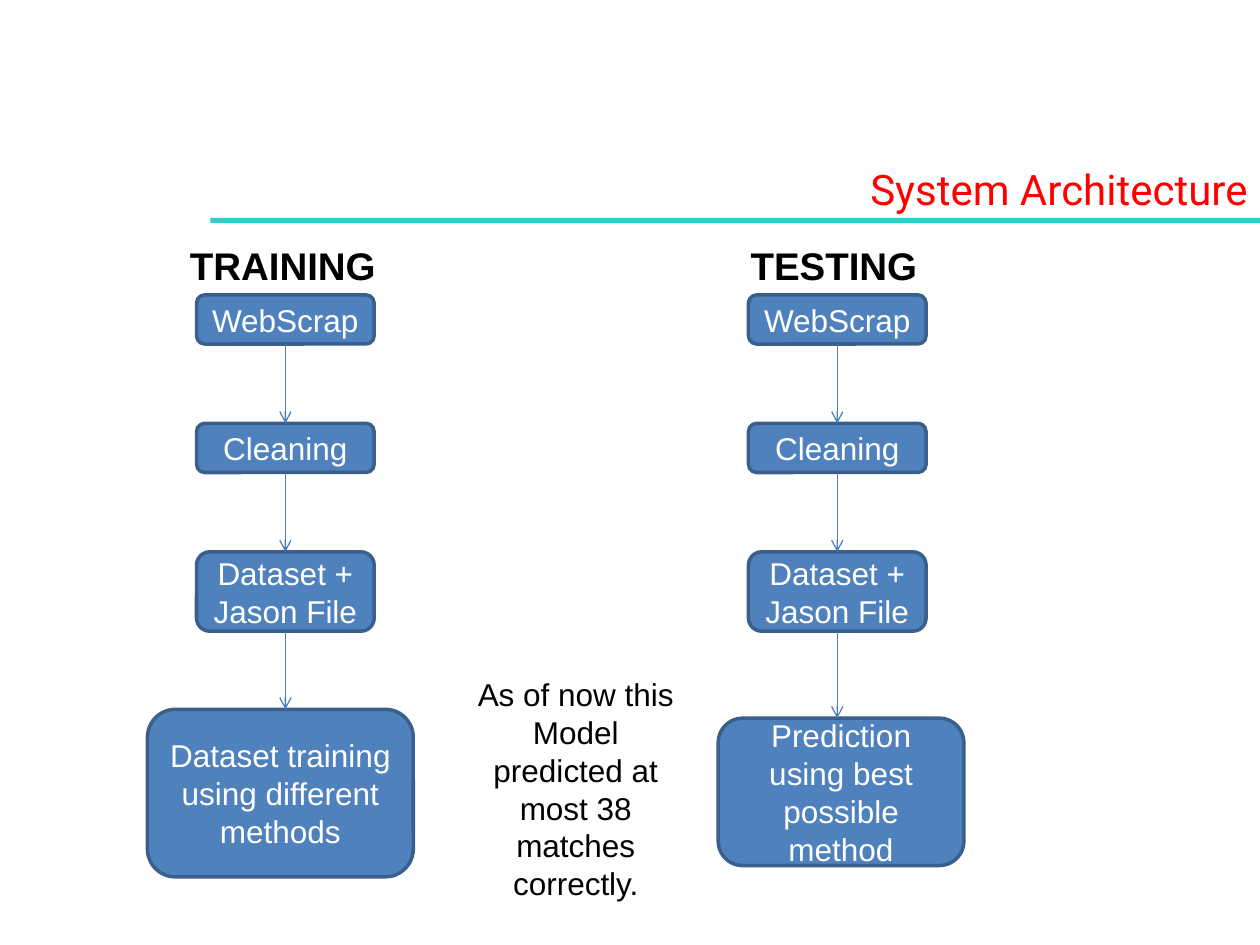
from dataclasses import dataclass

from lxml import etree
from pptx import Presentation
from pptx.dml.color import RGBColor
from pptx.enum import shapes, text
from pptx.oxml import ns
from pptx.util import Inches, Pt


@dataclass(frozen=True)
class Theme:
    title_color: str = "FF0000"
    rule: str = "33CCCC"
    step_fill: str = "4F81BD"
    step_edge: str = "3A5F8C"
    arrow: str = "4B7EBC"
    dark: str = "000000"
    light: str = "FFFFFF"
    title_font: str = "Roboto"
    body_font: str = "Arial"
    title_size: int = 24
    heading_size: int = 22
    body_size: int = 18


THEME = Theme()
STEP_WIDTH = 1.41
# Steps shared by both flows: wording, top, height
COMMON_STEPS = [
    ("WebScrap", 2.34, 0.39),
    ("Cleaning", 3.36, 0.39),
    ("Dataset + Jason File", 4.38, 0.63),
]


def color(value):
    return RGBColor.from_string(value)


def write(frame, wording, size, ink, font=THEME.body_font, bold=False,
          align=text.PP_ALIGN.CENTER):
    frame.word_wrap = True
    paragraph = frame.paragraphs[0]
    paragraph.alignment = align
    run = paragraph.add_run()
    run.text = wording
    run.font.name = font
    run.font.size = Pt(size)
    run.font.bold = bold
    run.font.color.rgb = color(ink)


def add_label(slide, box, wording, size, ink=THEME.dark, grow=True, **style):
    frame = slide.shapes.add_textbox(*map(Inches, box)).text_frame
    write(frame, wording, size, ink, **style)
    if grow:
        frame.auto_size = text.MSO_AUTO_SIZE.SHAPE_TO_FIT_TEXT


def add_block(slide, kind, box, fill):
    block = slide.shapes.add_shape(kind, *map(Inches, box))
    block.shadow.inherit = False
    block.fill.solid()
    block.fill.fore_color.rgb = color(fill)
    block.line.fill.background()
    return block


def add_step(slide, box, wording):
    step = add_block(slide, shapes.MSO_SHAPE.ROUNDED_RECTANGLE, box,
                     THEME.step_fill)
    step.line.color.rgb = color(THEME.step_edge)
    step.line.width = Pt(2)
    step.text_frame.vertical_anchor = text.MSO_ANCHOR.MIDDLE
    write(step.text_frame, wording, THEME.body_size, THEME.light)


def add_arrow(slide, x, top, bottom):
    arrow = slide.shapes.add_connector(
        shapes.MSO_CONNECTOR.STRAIGHT,
        Inches(x), Inches(top), Inches(x), Inches(bottom))
    arrow.line.color.rgb = color(THEME.arrow)
    arrow.line.width = Pt(0.75)
    etree.SubElement(arrow.line._get_or_add_ln(), ns.qn("a:tailEnd"),
                     type="arrow")
    etree.SubElement(arrow._element.spPr, ns.qn("a:effectLst"))


def add_flow(slide, heading, heading_left, left, last_wording, last_box):
    add_label(slide, (heading_left, 1.87, 1.8, 0.47), heading,
              THEME.heading_size, bold=True, align=text.PP_ALIGN.LEFT)
    steps = [(wording, (left, top, STEP_WIDTH, height))
             for wording, top, height in COMMON_STEPS]
    steps.append((last_wording, last_box))
    for wording, box in steps:
        add_step(slide, box, wording)
    # Each arrow spans the gap between neighbouring steps
    for (_, upper), (_, lower) in zip(steps, steps[1:]):
        add_arrow(slide, left + STEP_WIDTH / 2, upper[1] + upper[3], lower[1])


def main():
    deck = Presentation()
    deck.slide_width, deck.slide_height = Inches(10), Inches(7.5)
    slide = deck.slides.add_slide(deck.slide_layouts[6])

    # Title with its rule
    add_block(slide, shapes.MSO_SHAPE.RECTANGLE, (1.67, 1.73, 8.33, 0.04),
              THEME.rule)
    add_label(slide, (1.5, 1.25, 8.5, 0.5), "System Architecture",
              THEME.title_size, THEME.title_color, grow=False,
              font=THEME.title_font, align=text.PP_ALIGN.RIGHT)

    # Training and testing flows
    add_flow(slide, "TRAINING", 1.41, 1.56,
             "Dataset training using different methods",
             (1.17, 5.63, 2.11, 1.33))
    add_flow(slide, "TESTING", 5.86, 5.94,
             "Prediction using best possible method",
             (5.7, 5.7, 1.95, 1.17))

    # Result note
    add_label(slide, (3.67, 5.31, 1.8, 1.92),
              "As of now this Model predicted at most 38 matches correctly.",
              THEME.body_size)

    deck.save("out.pptx")


main()
